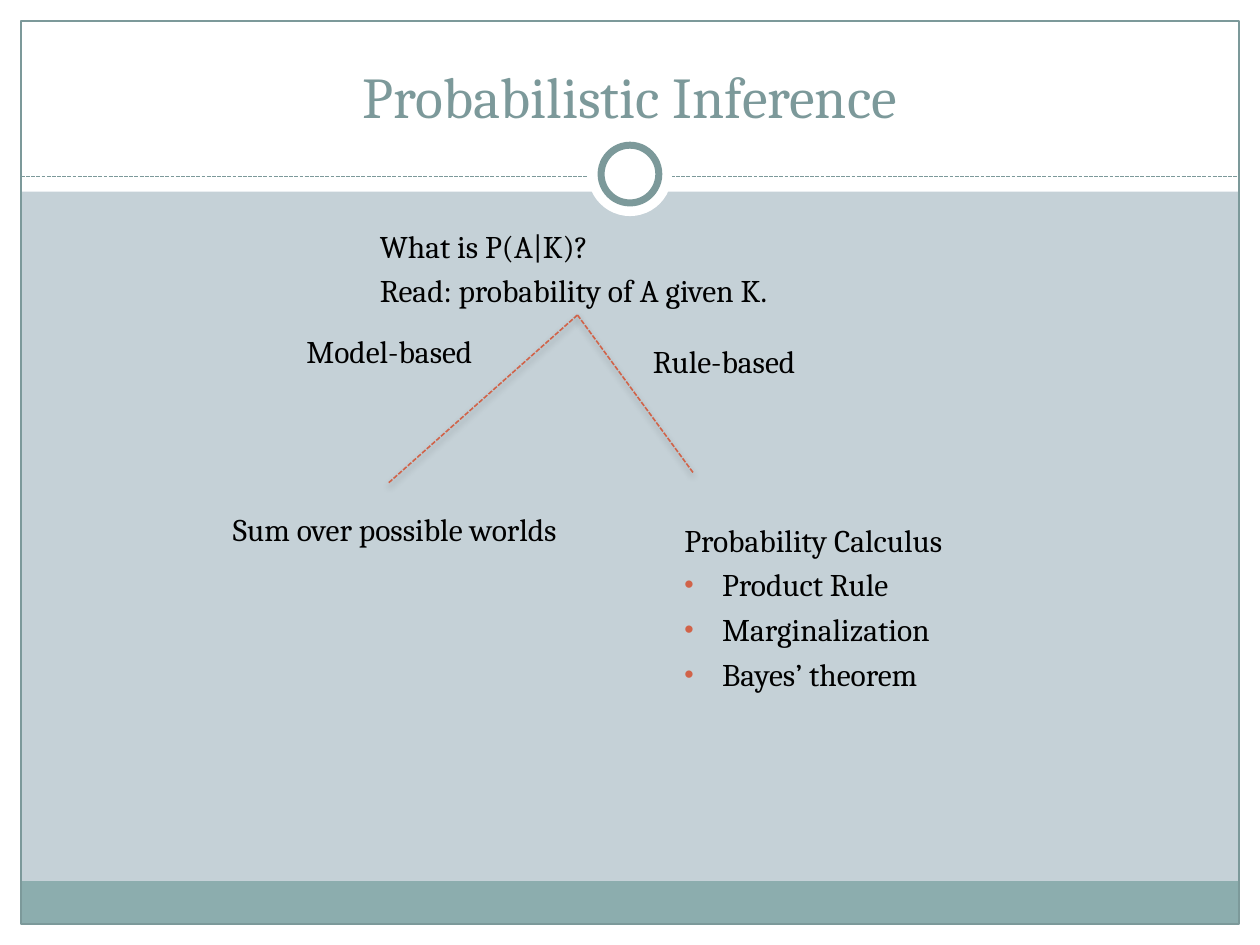
from lxml import etree
from pptx import Presentation
from pptx.dml.color import RGBColor
from pptx.enum.dml import MSO_LINE
from pptx.enum.shapes import MSO_CONNECTOR, MSO_SHAPE
from pptx.enum.text import MSO_ANCHOR, PP_ALIGN
from pptx.oxml.ns import qn
from pptx.util import Pt

RECTANGLE, ELLIPSE = MSO_SHAPE.RECTANGLE, MSO_SHAPE.OVAL
STRAIGHT = MSO_CONNECTOR.STRAIGHT
DASH = MSO_LINE.SQUARE_DOT
CENTER, LEFT = PP_ALIGN.CENTER, PP_ALIGN.LEFT
TOP, BOTTOM = MSO_ANCHOR.TOP, MSO_ANCHOR.BOTTOM

WHITE = RGBColor(0xFF, 0xFF, 0xFF)
BLACK = RGBColor(0, 0, 0)
MIST = RGBColor(0xC5, 0xD1, 0xD7)
TEAL = RGBColor(0x8C, 0xAD, 0xAE)
SLATE = RGBColor(0x7C, 0x99, 0x9A)
RUST = RGBColor(0xD1, 0x63, 0x49)

FONT = "Cambria"
WIDTH, HEIGHT = 720, 540
MARGIN = 12
HEADER = 109.5
FOOTER = 24.5
INDENT = 21.6


def add_child(parent, tag, **attributes):
    return etree.SubElement(parent, qn(tag), attributes)


def add_panel(page, kind, box, fill=None, line=None, weight=0.75):
    shape = page.shapes.add_shape(kind, *map(Pt, box))
    shape.shadow.inherit = False
    if fill is None:
        shape.fill.background()
    else:
        shape.fill.solid()
        shape.fill.fore_color.rgb = fill
    if line is None:
        shape.line.fill.background()
    else:
        shape.line.color.rgb = line
        shape.line.width = Pt(weight)


def add_dashed_line(page, start, end, color, weight, shadow=False):
    line = page.shapes.add_connector(STRAIGHT, *map(Pt, start + end))
    line.line.color.rgb = color
    line.line.width = Pt(weight)
    line.line.dash_style = DASH
    effects = add_child(line._element.spPr, "a:effectLst")
    if shadow:
        outer = add_child(effects, "a:outerShdw", blurRad=str(Pt(4)),
                          dist=str(Pt(2)), dir="5400000", rotWithShape="0")
        tint = add_child(outer, "a:srgbClr", val=str(BLACK))
        add_child(tint, "a:alpha", val="35000")


def add_bullet(para):
    properties = para._p.get_or_add_pPr()
    color = add_child(properties, "a:buClr")
    add_child(color, "a:srgbClr", val=str(RUST))
    add_child(properties, "a:buSzPct", val="85000")
    add_child(properties, "a:buFont", typeface="Arial")
    add_child(properties, "a:buChar", char="•")


def add_text(page, box, lines, size=18, color=BLACK, align=LEFT, anchor=TOP,
             indent=INDENT, before=4, bullets_from=None):
    frame = page.shapes.add_textbox(*map(Pt, box)).text_frame
    frame.word_wrap = True
    frame.vertical_anchor = anchor
    frame.text = "\n".join(lines)
    for index, para in enumerate(frame.paragraphs):
        para.alignment = align
        para.space_before = Pt(before)
        para.font.size = Pt(size)
        properties = para._p.get_or_add_pPr()
        properties.set("marL", str(Pt(indent)))
        properties.set("indent", str(Pt(-indent)))
        if bullets_from is not None and index >= bullets_from:
            add_bullet(para)
        for span in para.runs:
            span.font.name = FONT
            span.font.size = Pt(size)
            span.font.color.rgb = color


def add_frame(page, box):
    left, top, width, height = box
    right, bottom = left + width, top + height
    inner = (left + MARGIN, top + MARGIN, width - 2 * MARGIN, height - 2 * MARGIN)
    for band in ((left, bottom - MARGIN, width, MARGIN),
                 (left, top, width, HEADER),
                 (left, top, MARGIN, height),
                 (right - MARGIN, top, MARGIN, height)):
        add_panel(page, RECTANGLE, band, WHITE)
    add_panel(page, RECTANGLE,
              (inner[0], bottom - MARGIN - FOOTER, inner[2], FOOTER), TEAL)
    add_panel(page, RECTANGLE, inner, line=SLATE)


def add_header(page, box, title):
    left, top, width, height = box
    rule = top + height - 8.7
    add_dashed_line(page, (left + MARGIN, rule), (left + width - MARGIN, rule),
                    SLATE, 0.75)
    middle_x, middle_y = left + width / 2, top + height - 10
    for diameter, line in ((48, None), (33, SLATE)):
        add_panel(page, ELLIPSE,
                  (middle_x - diameter / 2, middle_y - diameter / 2,
                   diameter, diameter), WHITE, line, 4)
    add_text(page, (left + 24, top + 18, width - 48, 60), [title], size=33,
             color=SLATE, align=CENTER, anchor=BOTTOM, indent=0, before=0)


def add_inference_tree(page, box):
    left, top = box[:2]

    def place(x, y, width, height):
        return left + x, top + y, width, height

    add_text(page, place(210, 16.5, 300, 48),
             ["What is P(A|K)?", "Read: probability of A given K."])
    add_text(page, place(168, 76.5, 180, 54), ["Model-based"])
    add_text(page, place(126, 178.5, 252, 54), ["Sum over possible worlds"])
    add_text(page, place(366, 82.5, 126, 54), ["Rule-based"])
    add_text(page, place(384, 184.5, 180, 114),
             ["Probability Calculus", "Product Rule", "Marginalization",
              "Bayes’ theorem"], bullets_from=1)
    root = (left + 330, top + 70.5)
    for x, y in ((222, 166.5), (396, 160.5)):
        add_dashed_line(page, root, (left + x, top + y), RUST, 0.9, shadow=True)


deck = Presentation()
deck.slide_width, deck.slide_height = Pt(WIDTH), Pt(HEIGHT)
page = deck.slides.add_slide(deck.slide_layouts[6])
page.background.fill.solid()
page.background.fill.fore_color.rgb = MIST
add_frame(page, (0, 0, WIDTH, HEIGHT))
add_header(page, (0, 0, WIDTH, HEADER), "Probabilistic Inference")
add_inference_tree(page, (0, HEADER, WIDTH, HEIGHT - HEADER))
deck.save("out.pptx")
